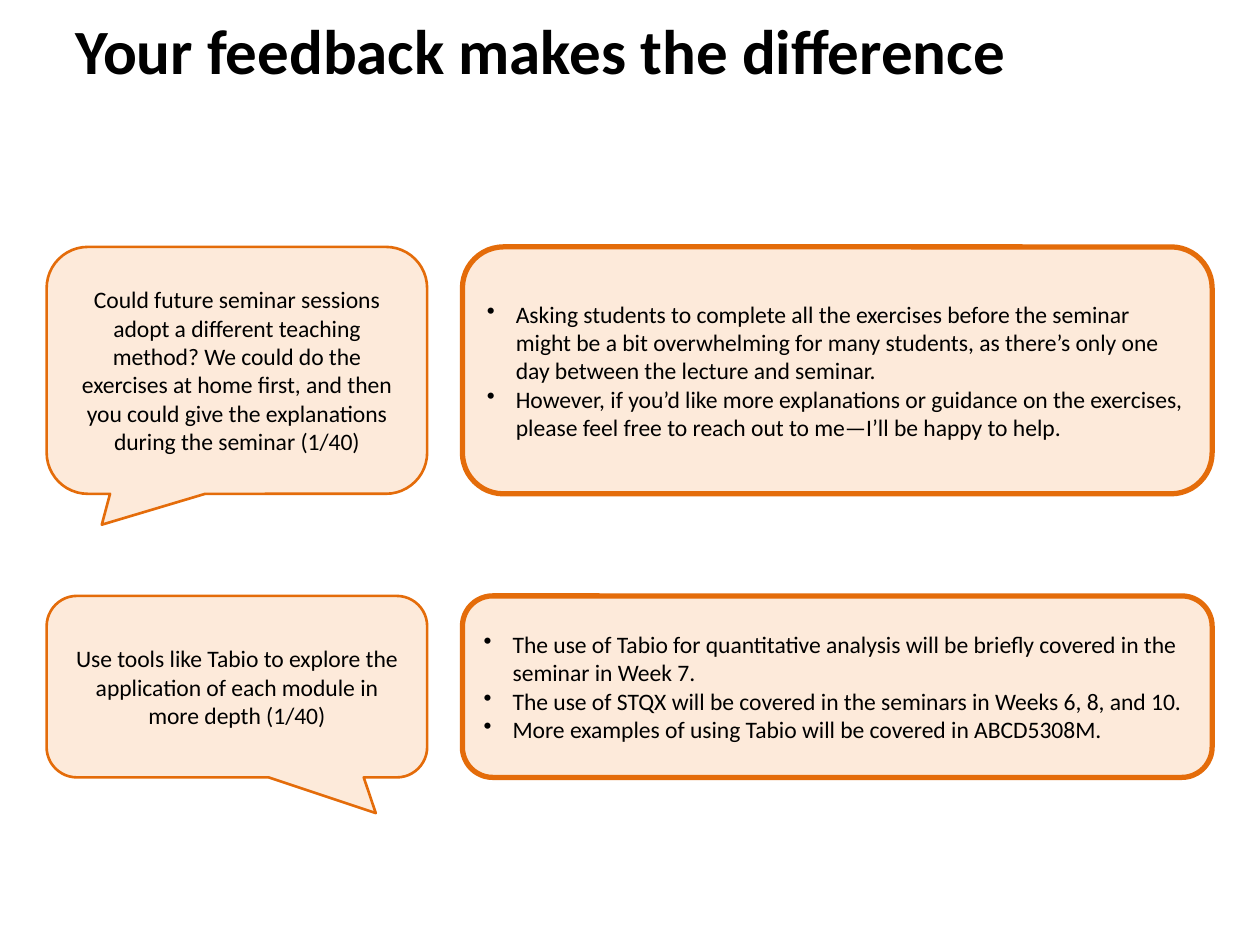
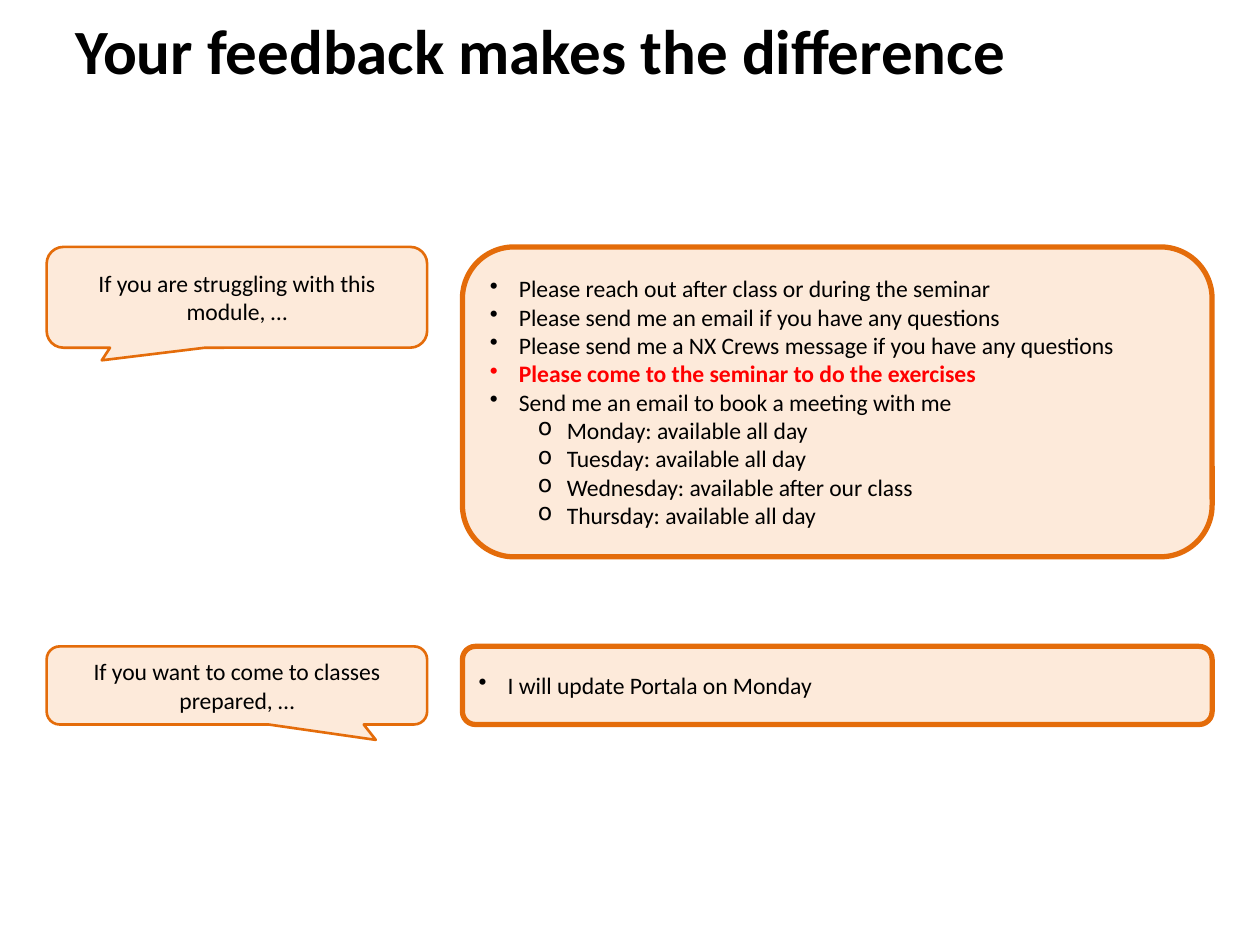
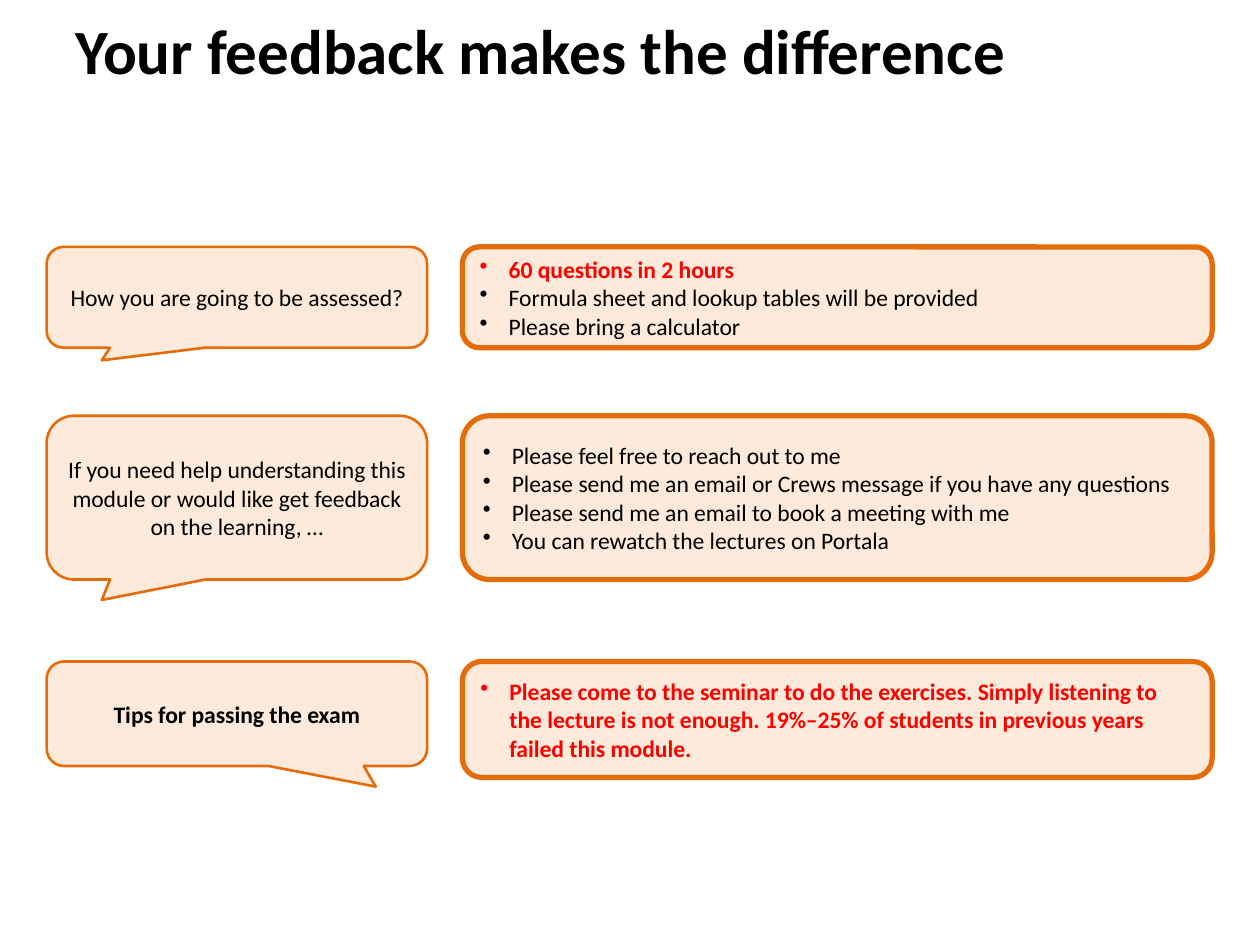
from dataclasses import dataclass
from typing import Any

from lxml.etree import SubElement
from pptx import Presentation
from pptx.dml.color import RGBColor
from pptx.enum.shapes import MSO_SHAPE
from pptx.enum.text import MSO_ANCHOR, PP_ALIGN
from pptx.oxml.ns import qn
from pptx.shapes.autoshape import Shape
from pptx.slide import Slide
from pptx.text.text import TextFrame, _Paragraph
from pptx.util import Inches, Pt


@dataclass(frozen=True)
class Theme:
    font: str = "Calibri"
    ink: RGBColor = RGBColor(0x00, 0x00, 0x00)
    alert: RGBColor = RGBColor(0xFF, 0x00, 0x00)
    panel: RGBColor = RGBColor(0xFD, 0xEA, 0xDA)
    border: RGBColor = RGBColor(0xE4, 0x6C, 0x0A)
    title_size: float = 36
    body_size: float = 13.5
    comment_line: float = 1.5
    reply_line: float = 3


@dataclass(frozen=True)
class Point:
    text: str
    level: int = 0
    alert: bool = False


@dataclass(frozen=True)
class Exchange:
    """A student comment on the left and the reply to it on the right."""
    top: float
    height: float
    comment: str
    reply: tuple[Point, ...]
    reply_height: float | None = None
    bold_comment: bool = False


THEME = Theme()
TITLE = "Your feedback makes the difference"
COMMENT_LEFT, COMMENT_WIDTH = 0.37, 3.02
REPLY_LEFT, REPLY_WIDTH = 3.67, 5.95
TAIL_LEFT = (-0.355, 0.625, 0.167)
TAIL_RIGHT = (0.365, 0.697, 0.167)
HANGING = 0.23
LEVEL_STEP = 0.38
BULLETS = ("•", "o")
FREE_DAYS = ("Monday: available all day", "Tuesday: available all day",
             "Wednesday: available after our class", "Thursday: available all day")

SLIDES: tuple[tuple[Exchange, ...], ...] = (
    (
        Exchange(1.96, 1.96,
                 "Could future seminar sessions adopt a different teaching method? We could do "
                 "the exercises at home first, and then you could give the explanations during "
                 "the seminar (1/40)",
                 (Point("Asking students to complete all the exercises before the seminar might "
                        "be a bit overwhelming for many students, as there’s only one day "
                        "between the lecture and seminar."),
                  Point("However, if you’d like more explanations or guidance on the exercises, "
                        "please feel free to reach out to me—I’ll be happy to help."))),
        Exchange(4.73, 1.44,
                 "Use tools like Tabio to explore the application of each module in more depth "
                 "(1/40)",
                 (Point("The use of Tabio for quantitative analysis will be briefly covered in "
                        "the seminar in Week 7."),
                  Point("The use of STQX will be covered in the seminars in Weeks 6, 8, and 10."),
                  Point("More examples of using Tabio will be covered in ABCD5308M."))),
    ),
    (
        Exchange(1.96, 0.8, "If you are struggling with this module, …",
                 (Point("Please reach out after class or during the seminar"),
                  Point("Please send me an email if you have any questions"),
                  Point("Please send me a NX Crews message if you have any questions"),
                  Point("Please come to the seminar to do the exercises", alert=True),
                  Point("Send me an email to book a meeting with me"),
                  *(Point(day, level=1) for day in FREE_DAYS)),
                 reply_height=2.46),
        Exchange(5.13, 0.62, "If you want to come to classes prepared, …",
                 (Point("I will update Portala on Monday"),)),
    ),
    (
        Exchange(1.96, 0.8, "How you are going to be assessed?",
                 (Point("60 questions in 2 hours", alert=True),
                  Point("Formula sheet and lookup tables will be provided"),
                  Point("Please bring a calculator"))),
        Exchange(3.3, 1.3,
                 "If you need help understanding this module or would like get feedback on the "
                 "learning, …",
                 (Point("Please feel free to reach out to me"),
                  Point("Please send me an email or Crews message if you have any questions"),
                  Point("Please send me an email to book a meeting with me"),
                  Point("You can rewatch the lectures on Portala"))),
        Exchange(5.25, 0.83, "Tips for passing the exam",
                 (Point("Please come to the seminar to do the exercises. Simply listening to the "
                        "lecture is not enough. 19%–25% of students in previous years failed "
                        "this module.", alert=True),),
                 reply_height=0.92, bold_comment=True),
    ),
)


def apply_format(target: Any, values: dict[str, Any]) -> None:
    for attribute, value in values.items():
        setattr(target, attribute, value)


def write(paragraph: _Paragraph, text: str, size: float = THEME.body_size,
          bold: bool = False, color: RGBColor = THEME.ink) -> None:
    run = paragraph.add_run()
    run.text = text
    apply_format(run.font, {"name": THEME.font, "size": Pt(size), "bold": bold})
    run.font.color.rgb = color


def write_points(frame: TextFrame, points: tuple[Point, ...]) -> None:
    for index, point in enumerate(points):
        paragraph = frame.add_paragraph() if index else frame.paragraphs[0]
        apply_format(paragraph, {"alignment": PP_ALIGN.LEFT, "level": point.level})
        properties = paragraph._p.get_or_add_pPr()
        properties.set("marL", str(Inches(HANGING + LEVEL_STEP * point.level)))
        properties.set("indent", str(-Inches(HANGING)))
        SubElement(properties, qn("a:buChar")).set("char", BULLETS[point.level])
        write(paragraph, point.text, bold=point.alert,
              color=THEME.alert if point.alert else THEME.ink)


def add_panel(slide: Slide, kind: MSO_SHAPE, left: float, top: float, width: float,
              height: float, line_width: float) -> Shape:
    panel = slide.shapes.add_shape(kind, Inches(left), Inches(top), Inches(width), Inches(height))
    panel.shadow.inherit = False
    panel.fill.solid()
    panel.fill.fore_color.rgb = THEME.panel
    panel.line.color.rgb = THEME.border
    panel.line.width = Pt(line_width)
    apply_format(panel.text_frame, {"word_wrap": True, "vertical_anchor": MSO_ANCHOR.MIDDLE})
    return panel


def add_title(slide: Slide) -> None:
    title = slide.shapes.add_textbox(Inches(0.5), Inches(0.04), Inches(9), Inches(1.25))
    apply_format(title.text_frame, {"word_wrap": True, "vertical_anchor": MSO_ANCHOR.TOP})
    write(title.text_frame.paragraphs[0], TITLE, THEME.title_size, bold=True)


def add_exchange(slide: Slide, exchange: Exchange, tail: tuple[float, ...]) -> None:
    comment = add_panel(slide, MSO_SHAPE.ROUNDED_RECTANGULAR_CALLOUT, COMMENT_LEFT, exchange.top,
                        COMMENT_WIDTH, exchange.height, THEME.comment_line)
    for index, value in enumerate(tail):
        comment.adjustments[index] = value
    paragraph = comment.text_frame.paragraphs[0]
    paragraph.alignment = PP_ALIGN.CENTER
    write(paragraph, exchange.comment, bold=exchange.bold_comment)

    reply = add_panel(slide, MSO_SHAPE.ROUNDED_RECTANGLE, REPLY_LEFT, exchange.top, REPLY_WIDTH,
                      exchange.reply_height or exchange.height, THEME.reply_line)
    write_points(reply.text_frame, exchange.reply)


def main() -> None:
    deck = Presentation()
    apply_format(deck, {"slide_width": Inches(10), "slide_height": Inches(7.5)})
    blank = deck.slide_layouts[6]
    for exchanges in SLIDES:
        slide = deck.slides.add_slide(blank)
        add_title(slide)
        for exchange in exchanges:
            is_last = exchange is exchanges[-1]
            add_exchange(slide, exchange, TAIL_RIGHT if is_last else TAIL_LEFT)
    deck.save("out.pptx")


if __name__ == "__main__":
    main()
